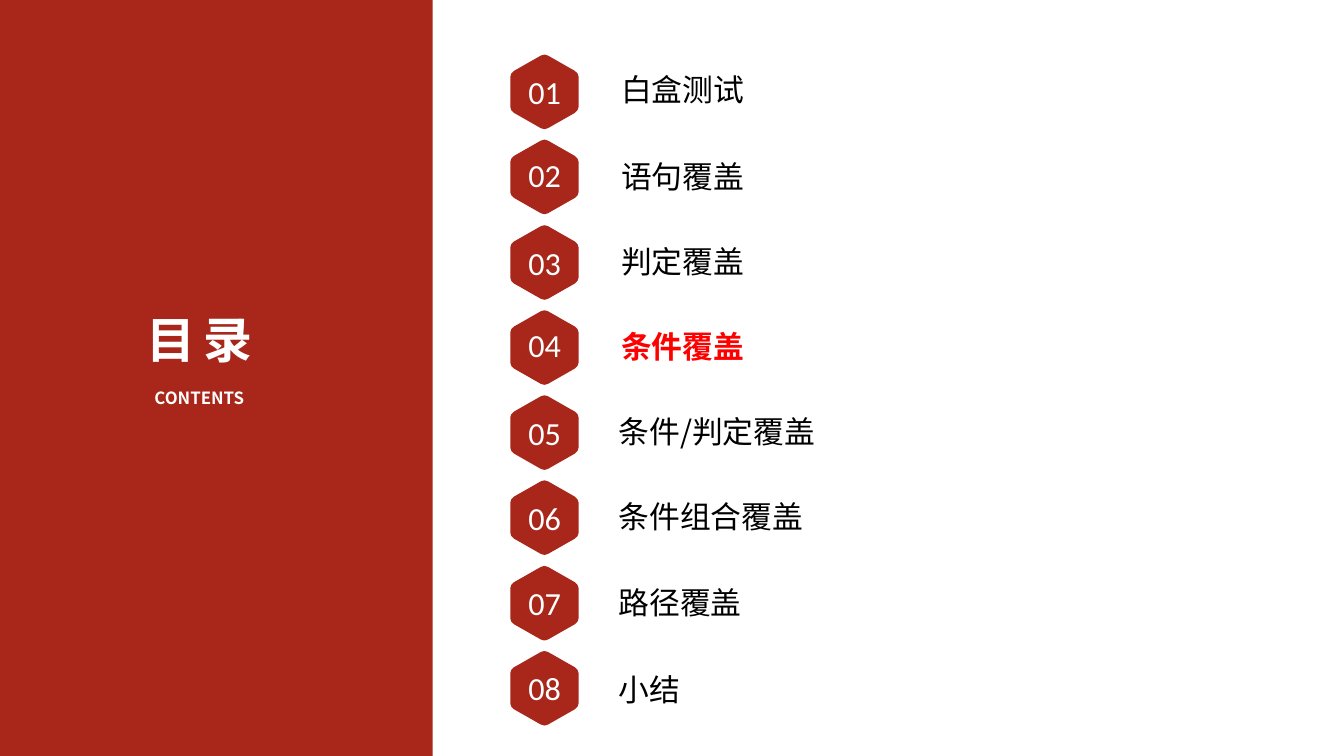
from lxml.etree import SubElement
from pptx import Presentation
from pptx.dml.color import RGBColor
from pptx.enum.shapes import MSO_SHAPE
from pptx.enum.text import MSO_ANCHOR, PP_ALIGN
from pptx.oxml.ns import qn
from pptx.util import Pt

EMU_PER_PX = 9525
SLIDE_WIDTH, SLIDE_HEIGHT = 2560, 1440
INSET = 5

BRICK = RGBColor(0xA8, 0x27, 0x1A)
WHITE = RGBColor(0xFF, 0xFF, 0xFF)
BLACK = RGBColor(0x00, 0x00, 0x00)
RED = RGBColor(0xFF, 0x00, 0x00)

HAN_FONT = "Noto Sans CJK SC"
TITLE = {"name": HAN_FONT, "size": Pt(70), "bold": True}
SUBTITLE = {"name": HAN_FONT, "size": Pt(24), "bold": True}
NUMBER = {"name": "Calibri", "size": Pt(46)}
LABEL = {"name": HAN_FONT, "size": Pt(44)}
CURRENT_LABEL = LABEL | {"bold": True}

# Label, its left edge, and the offsets of number and label below the row top
CHAPTERS = [
    ("白盒测试", 1178, 20, 26),
    ("语句覆盖", 1178, 16, 29),
    ("判定覆盖", 1178, 20, 29),
    ("条件覆盖", 1178, 15, 29),
    ("条件/判定覆盖", 1173, 20, 28),
    ("条件组合覆盖", 1173, 20, 28),
    ("路径覆盖", 1173, 20, 28),
    ("小结", 1173, 20, 33),
]
CURRENT = "条件覆盖"
FIRST_TOP, LAST_TOP = 104, 1240

# Upper right quarter of the rounded hexagon, measured from its centre
HEXAGON_CENTRE_X, HEXAGON_HALF_HEIGHT = 1037, 71
QUARTER = [(0, -71), (4, -70), (7, -69), (58, -40), (61, -37), (63, -35), (65, -29)]


def px(*lengths):
    return [round(length * EMU_PER_PX) for length in lengths]


def paint(shape, color):
    shape.shadow.inherit = False
    shape.fill.solid()
    shape.fill.fore_color.rgb = color
    shape.line.fill.background()


def add_text(shapes, text, box, font_format, color, align=PP_ALIGN.LEFT,
             anchor=MSO_ANCHOR.TOP, spacing=None):
    frame = shapes.add_textbox(*px(*box)).text_frame
    frame.word_wrap = True
    frame.vertical_anchor = anchor
    for side in ("left", "top", "right", "bottom"):
        setattr(frame, f"margin_{side}", INSET * EMU_PER_PX)
    paragraph = frame.paragraphs[0]
    paragraph.alignment = align
    run = paragraph.add_run()
    run.text = text
    for name, value in font_format.items():
        setattr(run.font, name, value)
    run.font.color.rgb = color
    properties = run.font._element
    SubElement(properties, qn("a:ea"), typeface=font_format["name"])
    if spacing:
        properties.set("spc", str(spacing))


def add_hexagon(shapes, top):
    right = QUARTER + [(x, -y) for x, y in reversed(QUARTER)]
    left = [(-x, y) for x, y in reversed(right)]
    centre_y = top + HEXAGON_HALF_HEIGHT
    points = [(HEXAGON_CENTRE_X + x, centre_y + y) for x, y in right + left[1:-1]]
    builder = shapes.build_freeform(*points[0], scale=EMU_PER_PX)
    builder.add_line_segments(points[1:], close=True)
    paint(builder.convert_to_shape(), BRICK)


presentation = Presentation()
presentation.slide_width, presentation.slide_height = px(SLIDE_WIDTH, SLIDE_HEIGHT)
slide = presentation.slides.add_slide(presentation.slide_layouts[6])

# Side panel with heading
panel = slide.shapes.add_shape(MSO_SHAPE.RECTANGLE, *px(0, 0, 824, SLIDE_HEIGHT))
paint(panel, BRICK)
heading = slide.shapes.add_group_shape().shapes
add_text(heading, "CONTENTS", (180, 733, 399, 95), SUBTITLE, WHITE, PP_ALIGN.CENTER)
add_text(heading, "目录", (108, 584, 545, 274), TITLE, WHITE, PP_ALIGN.CENTER,
         spacing=1170)

# One group per chapter: hexagon, number, label
pitch = (LAST_TOP - FIRST_TOP) / (len(CHAPTERS) - 1)
for index, (label, label_left, number_offset, label_offset) in enumerate(CHAPTERS):
    top = round(FIRST_TOP + index * pitch)
    row = slide.shapes.add_group_shape().shapes
    add_hexagon(row, top)
    add_text(row, f"{index + 1:02}", (954, top + number_offset, 167, 101), NUMBER,
             WHITE, PP_ALIGN.CENTER, MSO_ANCHOR.MIDDLE)
    is_current = label == CURRENT
    add_text(row, label, (label_left, top + label_offset, 587, 75),
             CURRENT_LABEL if is_current else LABEL, RED if is_current else BLACK)

presentation.save("out.pptx")
